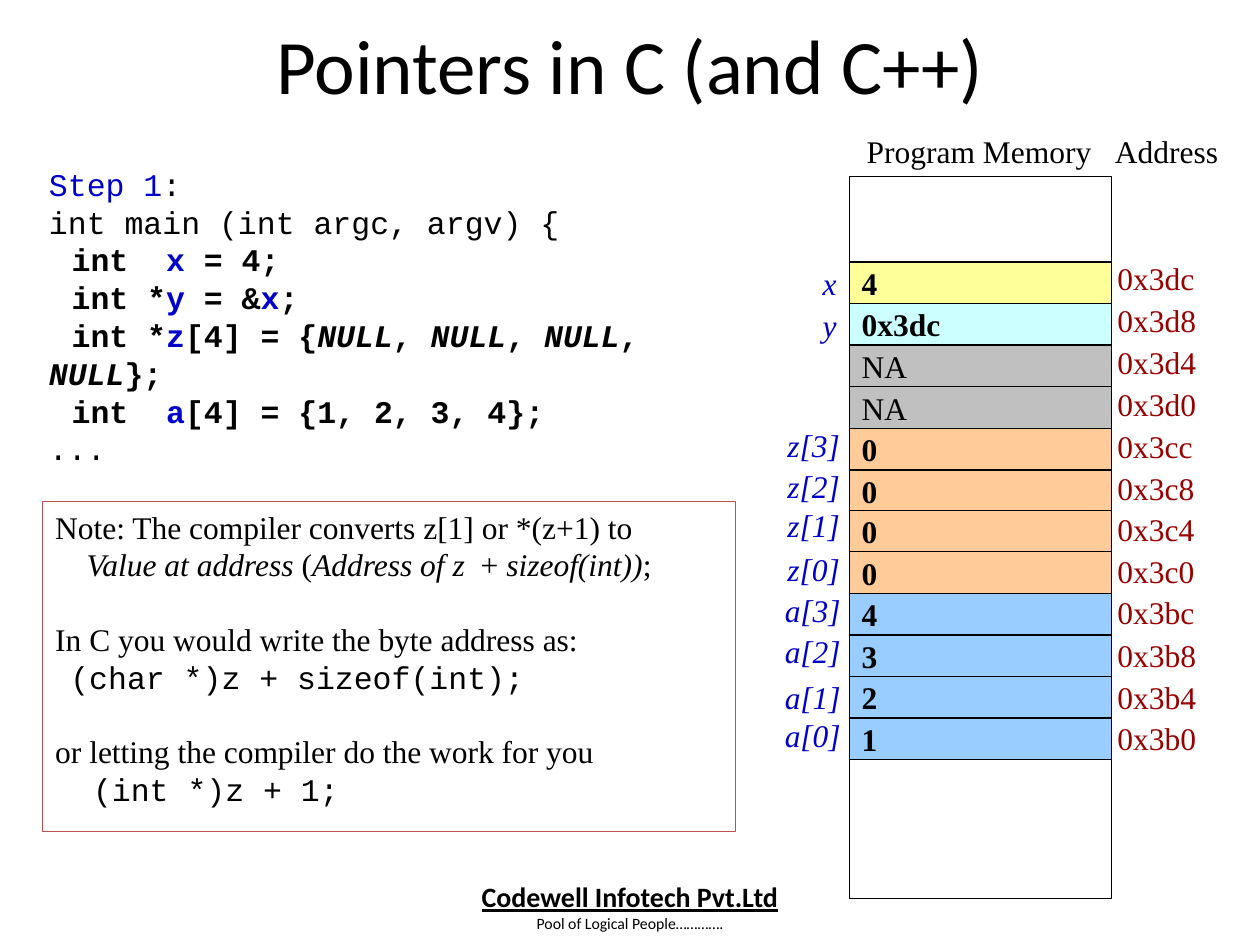
from pptx import Presentation
from pptx.dml.color import RGBColor
from pptx.enum.shapes import MSO_SHAPE as Shape
from pptx.enum.text import MSO_ANCHOR as Anchor, MSO_AUTO_SIZE as Fit, PP_ALIGN as Align
from pptx.util import Pt

PX = 9144  # 100 px to the inch
BLACK = RGBColor(0x00, 0x00, 0x00)
BLUE = RGBColor(0x00, 0x00, 0xCC)
RED = RGBColor(0x99, 0x00, 0x00)
BRICK = RGBColor(0xC0, 0x50, 0x4D)
YELLOW = RGBColor(0xFF, 0xFF, 0x99)
CYAN = RGBColor(0xCC, 0xFF, 0xFF)
GREY = RGBColor(0xC0, 0xC0, 0xC0)
PEACH = RGBColor(0xFF, 0xCC, 0x99)
SKY = RGBColor(0x99, 0xCC, 0xFF)
SERIF, MONO, SANS = "Times New Roman", "Courier New", "Calibri"


def px(*nums):
    return [n * PX for n in nums]


class Deck:
    def __init__(self, wide, high):
        self.prs = Presentation()
        self.prs.slide_width, self.prs.slide_height = px(wide, high)
        self.slide = self.prs.slides.add_slide(self.prs.slide_layouts[6])
        self.shapes = self.slide.shapes

    def run(self, para, text, marks="", font=SERIF, size=18, color=BLACK):
        """Add one run; marks holds b (bold), i (italic), u (underline), v (blue), m (mono)."""
        run = para.add_run()
        run.text = text
        face = run.font
        face.name = MONO if "m" in marks else font
        face.size = Pt(size)
        face.bold, face.italic, face.underline = (c in marks for c in "biu")
        face.color.rgb = BLUE if "v" in marks else color

    def indent(self, para, left, first):
        props = para._p.get_or_add_pPr()
        props.set("marL", str(left * PX))
        props.set("indent", str(first * PX))

    def fill(self, frame, paras):
        """Write paragraphs given as (left, first, gap, runs); a run of None breaks the line."""
        for n, (left, first, gap, runs) in enumerate(paras):
            para = frame.add_paragraph() if n else frame.paragraphs[0]
            self.indent(para, left, first)
            para.space_before = Pt(gap)
            for run in runs:
                if run is None:
                    para.add_line_break()
                else:
                    self.run(para, *run)

    def text(self, x, y, w, h, wrap=False):
        frame = self.shapes.add_textbox(*px(x, y, w, h)).text_frame
        frame.word_wrap = wrap
        frame.auto_size = Fit.SHAPE_TO_FIT_TEXT
        return frame

    def label(self, x, y, w, text, marks="", color=BLACK):
        frame = self.text(x, y, w, 40)
        self.run(frame.paragraphs[0], text, marks, color=color)

    def title(self, x, y, w, h, text):
        frame = self.text(x, y, w, h, True)
        frame.auto_size = Fit.NONE
        frame.vertical_anchor = Anchor.MIDDLE
        frame.paragraphs[0].alignment = Align.CENTER
        self.run(frame.paragraphs[0], text, font=SANS, size=44)

    def box(self, x, y, w, h, line=BLACK, fill=None, home=None):
        box = (home or self).shapes.add_shape(Shape.RECTANGLE, *px(x, y, w, h))
        box.shadow.inherit = False
        if fill is None:
            box.fill.background()
        else:
            box.fill.solid()
            box.fill.fore_color.rgb = fill
        box.line.color.rgb = line
        box.line.width = Pt(0.75)
        frame = box.text_frame
        frame.word_wrap = True
        frame.vertical_anchor = Anchor.TOP
        frame.paragraphs[0].alignment = Align.LEFT
        return frame

    def cell(self, home, y, text, marks, fill):
        frame = self.box(674, y, 208, 33, fill=fill, home=home)
        frame.word_wrap = False
        frame.vertical_anchor = Anchor.MIDDLE
        self.run(frame.paragraphs[0], text, marks)

    def footer(self, x, y, cols, h, lines):
        table = self.shapes.add_table(1, len(cols), *px(x, y, sum(cols), h)).table
        table.first_row = table.horz_banding = False
        table.rows[0].height = h * PX
        for col, wide in zip(table.columns, cols):
            col.width = wide * PX
        for cell in table.iter_cells():
            cell.fill.background()
            cell.margin_left = cell.margin_right = 6 * PX
            cell.margin_top = cell.margin_bottom = 0
        frame = table.cell(0, len(cols) - 1).text_frame
        self.fill(frame, [(0, 0, 0, [line]) for line in lines])
        for para in frame.paragraphs:
            para.alignment = Align.CENTER


CODE = [
    (0, 0, 0, [("Step 1", "mv"), (":", "m")]),
    (0, 0, 0, [("int main (int argc, argv) {", "m")]),
    (0, 18, 0, [("int  ", "mb"), ("x", "mbv"), (" = 4;", "mb")]),
    (0, 18, 0, [("int *", "mb"), ("y", "mbv"), (" = &", "mb"), ("x", "mbv"), (";", "mb")]),
    (0, 18, 0, [("int *", "mb"), ("z", "mbv"), ("[4] = {", "mb"),
                *[("NULL", "mbi"), (", ", "mb")] * 3, ("NULL", "mbi"), ("};", "mb")]),
    (0, 18, 0, [("int  ", "mb"), ("a", "mbv"), ("[4] = {1, 2, 3, 4};", "mb")]),
    (0, 0, 0, [("...", "m")]),
]
NOTE = [
    (25, -25, 0, [("Note: The compiler converts z[1] or *(z+1) to",), None,
                  ("Value at address", "i"), (" (",), ("Address of z", "i"), ("  + ",),
                  ("sizeof(int))", "i"), (";",)]),
    (25, -25, 21, [("In C you would write the byte address as:",)]),
    (12, 0, 0, [("(char *)z + sizeof(int);", "m")]),
    (25, -25, 21, [("or letting the compiler do the work for you",)]),
    (30, 0, 0, [("(int *)z + 1;", "m")]),
]
# value, marks, fill, address
MEMORY = [
    ("4", "b", YELLOW, "0x3dc"), ("0x3dc", "b", CYAN, "0x3d8"),
    ("NA", "", GREY, "0x3d4"), ("NA", "", GREY, "0x3d0"),
    ("0", "b", PEACH, "0x3cc"), ("0", "b", PEACH, "0x3c8"),
    ("0", "b", PEACH, "0x3c4"), ("0", "b", PEACH, "0x3c0"),
    ("4", "b", SKY, "0x3bc"), ("3", "b", SKY, "0x3b8"),
    ("2", "b", SKY, "0x3b4"), ("1", "b", SKY, "0x3b0"),
]
# left, width, names with their tops
NAMES = [
    (615, 62, {"z[3]": 333, "z[2]": 366, "z[1]": 397, "z[0]": 432}),
    (613, 65, {"a[3]": 464, "a[2]": 497, "a[1]": 533, "a[0]": 563}),
    (643, 31, {"x": 205, "y": 238}),
]


def main():
    deck = Deck(1000, 750)
    deck.footer(158, 699, [17, 650], 51, [
        ("Codewell Infotech Pvt.Ltd", "bu", SANS, 16),
        ("Pool of Logical People………….", "", SANS, 9)])
    deck.title(75, 8, 850, 86, "Pointers in C (and C++)")
    deck.box(674, 140, 208, 573)
    deck.label(875, 100, 102, "Address")
    deck.label(678, 100, 199, "Program Memory")
    deck.fill(deck.box(34, 398, 550, 262, BRICK), NOTE)
    deck.fill(deck.text(29, 126, 591, 220, True), CODE)

    group = deck.shapes.add_group_shape()
    last = len(MEMORY) - 1
    for n, (value, marks, fill, spot) in enumerate(MEMORY):
        deck.cell(group, 208 + round(362 * n / last), value, marks, fill)
        deck.label(877, 201 + round(365 * n / last), 86, spot, color=RED)
    for x, w, tops in NAMES:
        for name, y in tops.items():
            deck.label(x, y, w, name, "iv")
    deck.prs.save("out.pptx")


if __name__ == "__main__":
    main()
